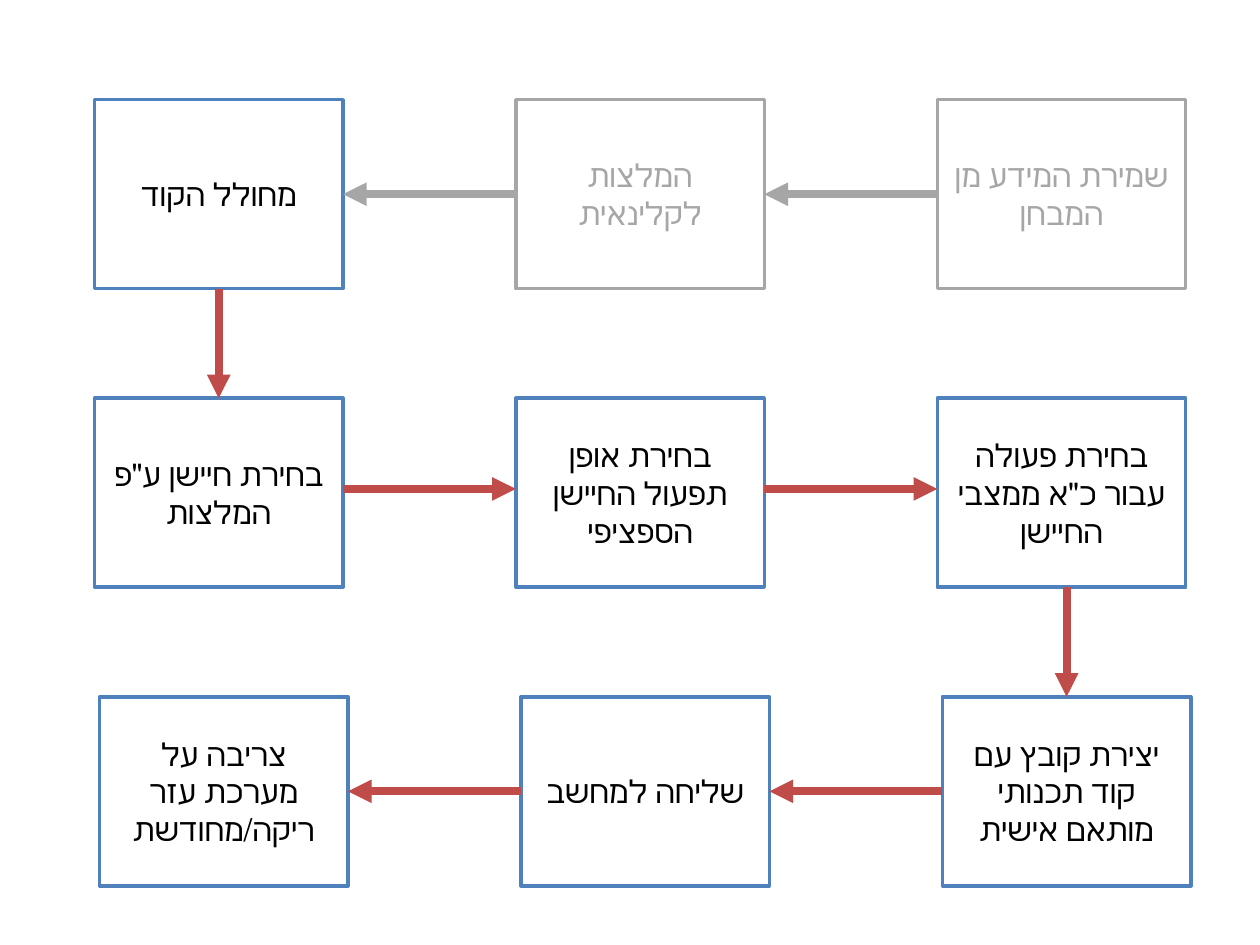
from lxml import etree
from pptx import Presentation
from pptx.dml.color import RGBColor
from pptx.enum.shapes import MSO_CONNECTOR, MSO_SHAPE
from pptx.enum.text import MSO_ANCHOR, PP_ALIGN
from pptx.oxml.ns import qn
from pptx.util import Pt

RECTANGLE = MSO_SHAPE.RECTANGLE
STRAIGHT = MSO_CONNECTOR.STRAIGHT
MIDDLE = MSO_ANCHOR.MIDDLE
CENTER = PP_ALIGN.CENTER

BLUE, RED, GREY, BLACK, WHITE = "4F81BD", "BF4C48", "A6A6A6", "000000", "FFFFFF"
LEFT, TOP = 54, 57
WIDTH, HEIGHT = 142, 108
COLUMN_PITCH, ROW_PITCH = 240.8, 170.6
LAST_ROW_SHIFT = 2.9
MIDDLE_ROW_LIFT = 2.2

STEPS = [
    [["מחולל הקוד"], ["המלצות", "לקלינאית"], ["שמירת המידע מן המבחן"]],
    [["בחירת חיישן ע\"פ המלצות"], ["בחירת אופן תפעול החיישן הספציפי"],
     ["בחירת פעולה עבור כ\"א ממצבי החיישן"]],
    [["צריבה על מערכת עזר ריקה/מחודשת"], ["שליחה למחשב"],
     ["יצירת קובץ עם קוד תכנותי מותאם אישית"]],
]
DONE_STEPS = {(0, 1), (0, 2)}


def color(value):
    """Turn a hex string into a colour."""
    return RGBColor.from_string(value)


def box_corner(row, column):
    """Return the left and top of a step box in points."""
    shift = LAST_ROW_SHIFT if row == 2 else 0
    return LEFT + column * COLUMN_PITCH + shift, TOP + row * ROW_PITCH


def add_step(slide, row, column, lines):
    """Draw one step of the process, greyed when already done."""
    done = (row, column) in DONE_STEPS
    left, top = box_corner(row, column)
    box = slide.shapes.add_shape(RECTANGLE, Pt(left), Pt(top), Pt(WIDTH), Pt(HEIGHT))
    box.shadow.inherit = False
    if done:
        box.fill.background()
    else:
        box.fill.solid()
        box.fill.fore_color.rgb = color(WHITE)
    box.line.color.rgb = color(GREY if done else BLUE)
    box.line.width = Pt(2)
    frame = box.text_frame
    frame.word_wrap = True
    frame.vertical_anchor = MIDDLE
    for index, line in enumerate(lines):
        para = frame.add_paragraph() if index else frame.paragraphs[0]
        para.alignment = CENTER
        para._p.get_or_add_pPr().set("rtl", "1")
        span = para.add_run()
        span.text = line
        span.font.size = Pt(18)
        span.font.name = "Calibri"
        span.font.color.rgb = color(GREY if done else BLACK)


def add_arrow(slide, start, end, hue):
    """Draw a thick arrow between two points."""
    arrow = slide.shapes.add_connector(STRAIGHT, *(Pt(value) for value in start + end))
    arrow.line.color.rgb = color(hue)
    arrow.line.width = Pt(4.5)
    etree.SubElement(arrow.line._get_or_add_ln(), qn("a:tailEnd"), type="triangle")
    etree.SubElement(arrow._element.spPr, qn("a:effectLst"))


def add_row_arrows(slide, row, hue):
    """Link the boxes of a row, rightwards in the middle row only."""
    for column in range(2):
        left, top = box_corner(row, column)
        height = top + HEIGHT / 2 - (MIDDLE_ROW_LIFT if row == 1 else 0)
        ends = [(left + WIDTH, height), (left + COLUMN_PITCH, height)]
        start, end = ends if row == 1 else reversed(ends)
        add_arrow(slide, start, end, hue)


def add_down_arrow(slide, row, column):
    """Link a box to the one below it, centred on the lower box."""
    top = box_corner(row, column)[1]
    lower_left, lower_top = box_corner(row + 1, column)
    center = lower_left + WIDTH / 2
    add_arrow(slide, (center, top + HEIGHT), (center, lower_top), RED)


def main():
    """Build the process slide."""
    deck = Presentation()
    deck.slide_width, deck.slide_height = Pt(720), Pt(540)
    page = deck.slides.add_slide(deck.slide_layouts[6])
    for row, steps in enumerate(STEPS):
        for column, lines in enumerate(steps):
            add_step(page, row, column, lines)
    for row, hue in enumerate((GREY, RED, RED)):
        add_row_arrows(page, row, hue)
    add_down_arrow(page, 0, 0)
    add_down_arrow(page, 1, 2)
    deck.save("out.pptx")


if __name__ == "__main__":
    main()
